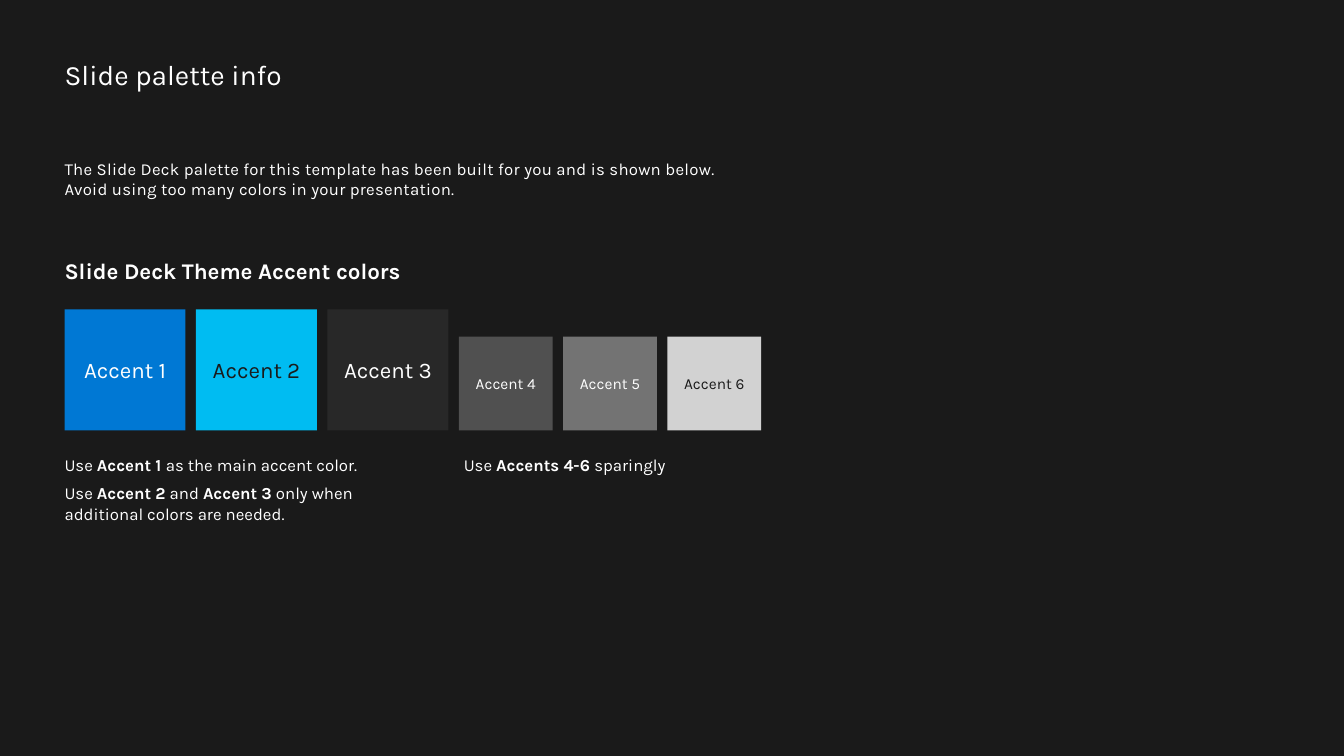
from dataclasses import dataclass

from pptx import Presentation
from pptx.dml.color import RGBColor
from pptx.enum.shapes import MSO_SHAPE
from pptx.enum.text import MSO_ANCHOR, PP_ALIGN
from pptx.util import Inches, Pt


@dataclass(frozen=True)
class Theme:
    font: str = "Karla"
    dark: str = "1A1A1A"
    light: str = "FFFFFF"
    title: int = 20
    heading: int = 16
    body: int = 12
    small: int = 11


THEME = Theme()
# Name, fill, text colour
MAIN_ACCENTS = [
    ("Accent 1", "0078D4", THEME.light),
    ("Accent 2", "00BCF2", THEME.dark),
    ("Accent 3", "282828", THEME.light),
]
GRAY_ACCENTS = [
    ("Accent 4", "505050", THEME.light),
    ("Accent 5", "737373", THEME.light),
    ("Accent 6", "D2D2D2", THEME.dark),
]


def write(tf, text, size=THEME.body, color=THEME.light, bold=False,
          align=PP_ALIGN.LEFT, before=0, tracking=0):
    """Fill a frame: \\n starts a paragraph, \\v breaks a line, *...* is bold."""
    tf.word_wrap = True
    for i, line in enumerate(text.split("\n")):
        p = tf.paragraphs[0] if i == 0 else tf.add_paragraph()
        p.alignment = align
        p.space_before = Pt(before if i else 0)
        for j, part in enumerate(line.split("*")):
            for k, piece in enumerate(part.split("\v")):
                if k:
                    p.add_line_break()
                if not piece:
                    continue
                r = p.add_run()
                r.text = piece
                r.font.name = THEME.font
                r.font.size = Pt(size)
                r.font.bold = bold or j % 2 == 1
                r.font.color.rgb = RGBColor.from_string(color)
                if tracking:
                    r.font._element.set("spc", str(round(tracking * 100)))


def set_margins(tf, top=0, bottom=0):
    tf.margin_left = tf.margin_right = 0
    tf.margin_top, tf.margin_bottom = Inches(top), Inches(bottom)


def add_text(slide, box, text, top=0, **fmt):
    tf = slide.shapes.add_textbox(*map(Inches, box)).text_frame
    set_margins(tf, top)
    write(tf, text, **fmt)


def add_swatch(slide, box, name, fill, color, size):
    sp = slide.shapes.add_shape(MSO_SHAPE.RECTANGLE, *map(Inches, box))
    sp.shadow.inherit = False
    sp.fill.solid()
    sp.fill.fore_color.rgb = RGBColor.from_string(fill)
    sp.line.fill.background()
    tf = sp.text_frame
    set_margins(tf, 0.05, 0.05)
    tf.vertical_anchor = MSO_ANCHOR.MIDDLE
    write(tf, name, size=size, color=color, align=PP_ALIGN.CENTER)


def add_intro(slide, box):
    x, y, w, h = box
    add_text(slide, (x, y, 6.02, 0.41), "Slide palette info",
             top=0.07, size=THEME.title)
    add_text(slide, (x, y + 1.07, w, 0.4),
             "The Slide Deck palette for this template has been built for you "
             "and is shown below.\n"
             "Avoid using too many colors in your presentation.", tracking=0.2)


def add_swatch_row(slide, box):
    """Place all swatches on one baseline with equal gaps across the box."""
    x, y, w, h = box
    small = 0.93
    swatches = [(h, THEME.heading, a) for a in MAIN_ACCENTS]
    swatches += [(small, THEME.small, a) for a in GRAY_ACCENTS]
    gap = (w - sum(side for side, _, _ in swatches)) / (len(swatches) - 1)
    for side, size, (name, fill, color) in swatches:
        add_swatch(slide, (x, y + h - side, side, side), name, fill, color, size)
        x += side + gap


def add_palette(slide, box):
    x, y, w, h = box
    add_text(slide, (x, y, w, 0.27), "Slide Deck Theme Accent colors",
             size=THEME.heading, bold=True)
    add_swatch_row(slide, (x, y + 0.52, w, 1.2))
    notes_y = y + 1.96
    add_text(slide, (x, notes_y, 3.81, 0.69),
             "Use *Accent 1 *as the main accent color.\n"
             "Use *Accent 2* and *Accent 3* only when \vadditional colors are needed.",
             before=6)
    add_text(slide, (x + 3.96, notes_y, 3.04, 0.2),
             "Use *Accents 4-6 *sparingly")


def main():
    prs = Presentation()
    prs.slide_width, prs.slide_height = Inches(13.33), Inches(7.5)
    slide = prs.slides.add_slide(prs.slide_layouts[6])
    slide.background.fill.solid()
    slide.background.fill.fore_color.rgb = RGBColor.from_string(THEME.dark)
    add_intro(slide, (0.64, 0.5, 10.89, 1.47))
    add_palette(slide, (0.64, 2.55, 6.91, 2.65))
    prs.save("out.pptx")


if __name__ == "__main__":
    main()
